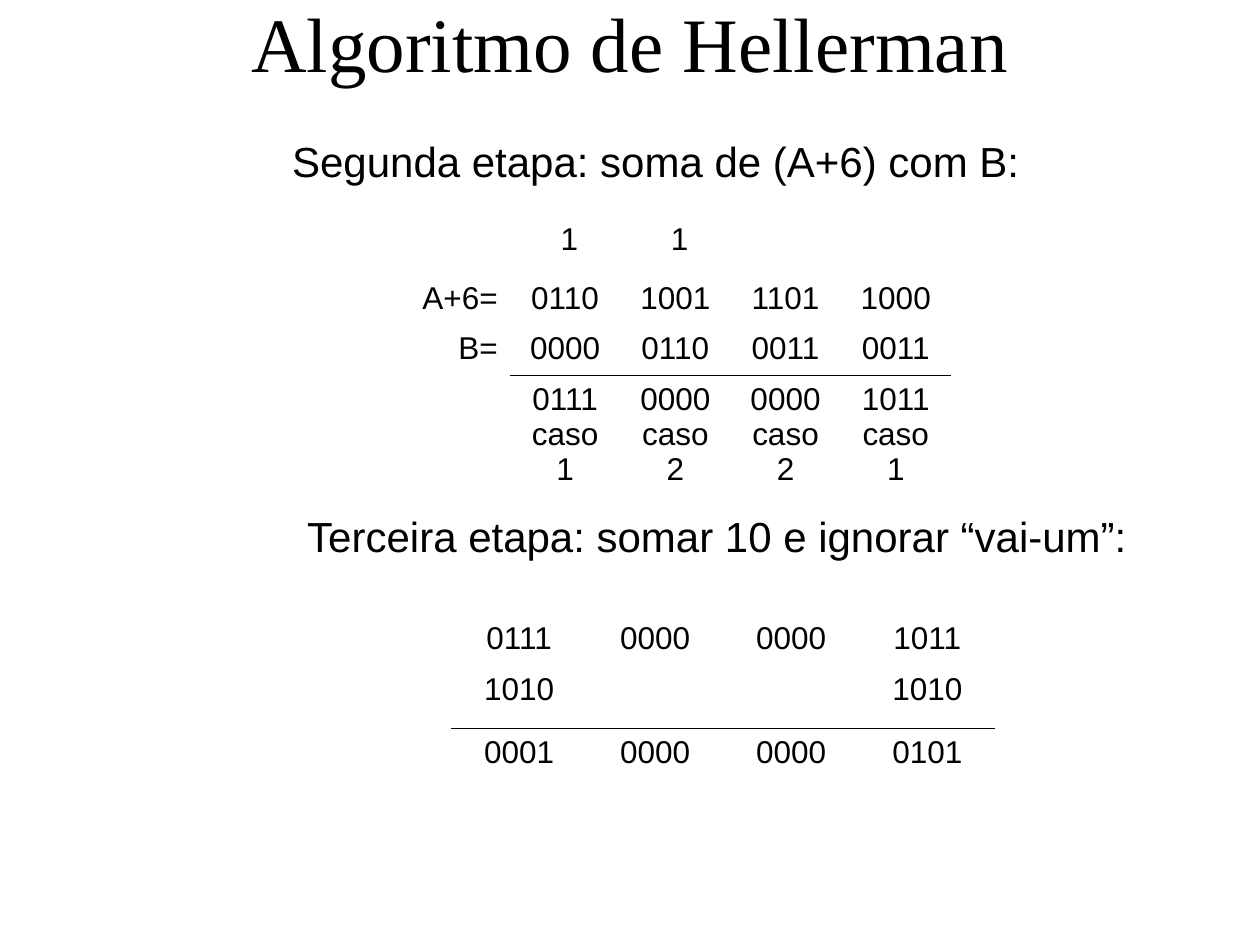
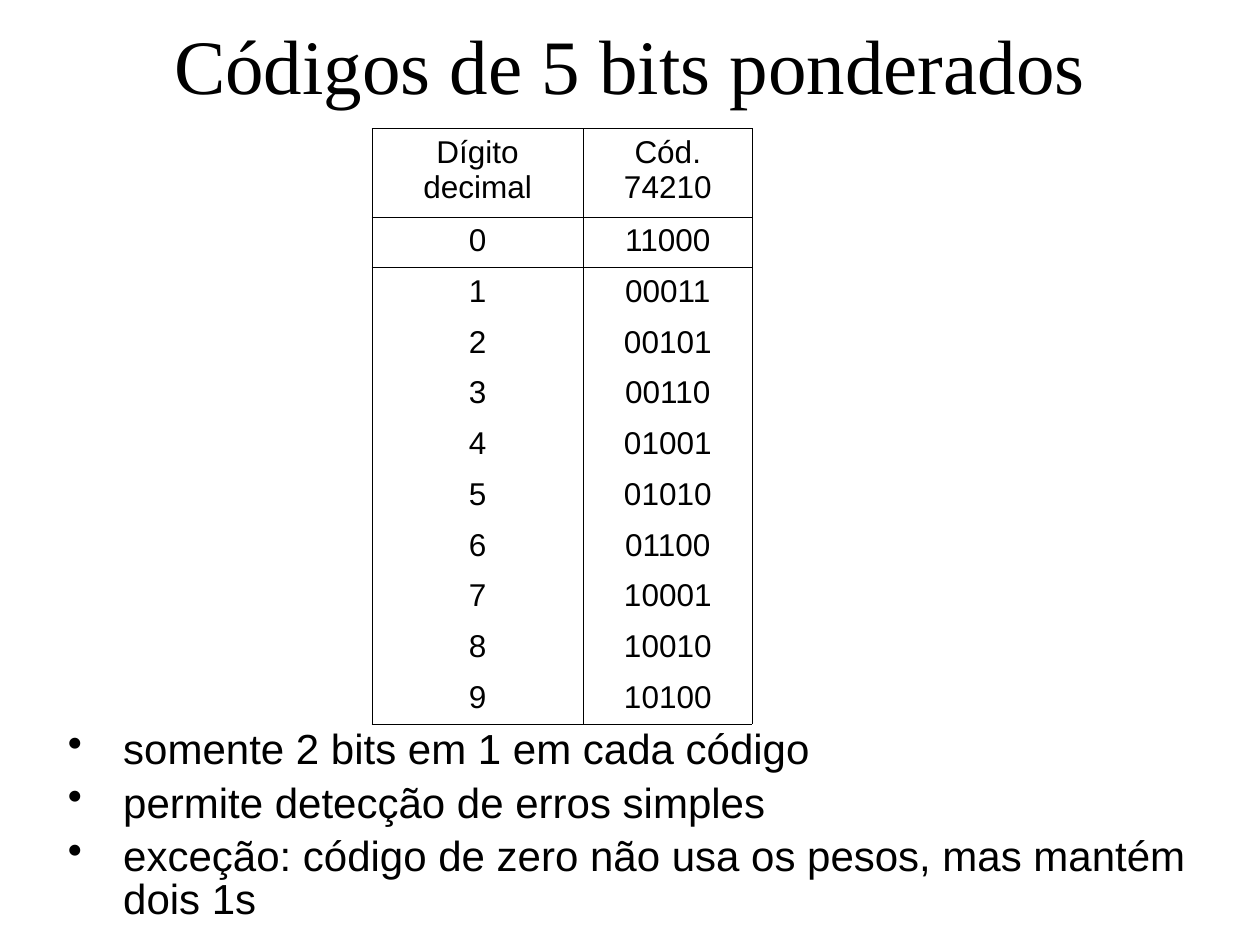
from lxml import etree
from pptx import Presentation
from pptx.dml.color import RGBColor as RGB
from pptx.enum.text import MSO_ANCHOR as ANCHOR, MSO_AUTO_SIZE as AUTO, PP_ALIGN as ALIGN
from pptx.oxml.ns import qn
from pptx.util import Inches, Pt

COLORS = {"text": "000000", "rule": "000000", "background": "FFFFFF"}
FORMATS = {
    "title": {"name": "Times New Roman", "size": Pt(44)},
    "body": {"name": "Arial", "size": Pt(24)},
    "cell": {"name": "Arial", "size": Pt(18)},
}
NO_GRID_STYLE = "{2D5ABB26-0587-4C30-8999-92F81FD0307C}"
HAIRLINE = Pt(0.06)


def style_text(tf, kind, align):
    for p in tf.paragraphs:
        p.alignment = align
        for r in p.runs:
            for name, value in FORMATS[kind].items():
                setattr(r.font, name, value)
            r.font.color.rgb = RGB.from_string(COLORS["text"])


def add_grid(s, left, top, widths, heights, rows, sides):
    """Add a plain table; sides(row, column) names the ruled sides of a cell."""
    tbl = s.shapes.add_table(len(rows), len(widths), Inches(left), Inches(top),
                             Inches(sum(widths)), Inches(sum(heights))).table
    tbl.first_row = tbl.horz_banding = False
    tbl._tbl.tblPr.find(qn("a:tableStyleId")).text = NO_GRID_STYLE
    for col, width in zip(tbl.columns, widths):
        col.width = Inches(width)
    for i, (height, row) in enumerate(zip(heights, rows)):
        tbl.rows[i].height = Inches(height)
        for j, text in enumerate(row):
            cell = tbl.cell(i, j)
            if text:
                cell.text = text
            style_text(cell.text_frame, "cell", ALIGN.RIGHT if text.endswith("=") else ALIGN.CENTER)
            tc_pr = cell._tc.get_or_add_tcPr()
            for side in "LRTB":
                if side in sides(i, j):
                    ln = etree.SubElement(tc_pr, qn(f"a:ln{side}"), w=str(HAIRLINE))
                    fill = etree.SubElement(ln, qn("a:solidFill"))
                    etree.SubElement(fill, qn("a:srgbClr"), val=COLORS["rule"])
            cell.fill.background()
    return tbl


prs = Presentation()
prs.slide_width, prs.slide_height = Inches(10), Inches(7.5)

# Slides and titles
slides = []
for title, top in [("Algoritmo de Hellerman", 0), ("Códigos de 5 bits ponderados", 0.17)]:
    s = prs.slides.add_slide(prs.slide_layouts[6])
    s.background.fill.solid()
    s.background.fill.fore_color.rgb = RGB.from_string(COLORS["background"])
    tf = s.shapes.add_textbox(Inches(0.75), Inches(top), Inches(8.5), Inches(0.67)).text_frame
    tf.word_wrap = True
    tf.vertical_anchor = ANCHOR.MIDDLE
    tf.text = title
    style_text(tf, "title", ALIGN.CENTER)
    slides.append(s)
hellerman, weighted = slides

# Hellerman: second and third steps
for text, left, top, width in [
    ("Segunda etapa: soma de (A+6) com B:", 2.22, 1.03, 5.97),
    ("Terceira etapa: somar 10 e ignorar “vai-um”:", 2.34, 4, 6.74),
]:
    tf = hellerman.shapes.add_textbox(Inches(left), Inches(top), Inches(width), Inches(0.5)).text_frame
    tf.word_wrap = False
    tf.auto_size = AUTO.SHAPE_TO_FIT_TEXT
    tf.text = text
    style_text(tf, "body", ALIGN.LEFT)

sum_rows = [
    ["", "1", "1", "", ""],
    ["A+6=", "0110", "1001", "1101", "1000"],
    ["B=", "0000", "0110", "0011", "0011"],
    ["", "0111\ncaso 1", "0000\ncaso 2", "0000\ncaso 2", "1011\ncaso 1"],
]
sum_table = add_grid(hellerman, 2.09, 1.71, [1.96, 0.87, 0.88, 0.87, 0.88], [0.47, 0.4, 0.4, 1],
                     sum_rows, lambda i, j: {2: "B", 3: "T"}.get(i, "") if j else "")
for j in (1, 2):
    sum_table.cell(0, j).margin_left = Inches(0.17)

correction_rows = [
    ["0111", "0000", "0000", "1011"],
    ["1010", "", "", "1010"],
    ["0001", "0000", "0000", "0101"],
]
add_grid(hellerman, 3.58, 4.88, [1.08] * 4, [0.4, 0.5, 0.4],
         correction_rows, lambda i, j: ["", "B", "T"][i])

# Weighted 5-bit codes
codes = ["11000", "00011", "00101", "00110", "01001", "01010", "01100", "10001", "10010", "10100"]
code_rows = [["Dígito decimal", "Cód. 74210"]] + [[str(d), code] for d, code in enumerate(codes)]
header_height, table_height = 0.7, 4.73
digit_height = (table_height - header_height) / len(codes)
add_grid(weighted, 2.95, 1.02, [1.68, 1.34], [header_height] + [digit_height] * len(codes),
         code_rows, lambda i, j: {0: "LRTB", 1: "LRT", len(codes): "LRB"}.get(i, "LR"))

tf = weighted.shapes.add_textbox(Inches(0.33), Inches(5.75), Inches(9.33), Inches(1.58)).text_frame
tf.word_wrap = True
tf.text = "\n".join([
    "somente 2 bits em 1 em cada código",
    "permite detecção de erros simples",
    "exceção: código de zero não usa os pesos, mas mantém dois 1s",
])
for i, p in enumerate(tf.paragraphs):
    p_pr = p._p.get_or_add_pPr()
    p_pr.set("marL", str(Inches(0.55)))
    p_pr.set("indent", str(-Inches(0.44)))
    etree.SubElement(p_pr, qn("a:buChar"), char="•")
    p.line_spacing = 0.85
    if i:
        p.space_before = Pt(6)
style_text(tf, "body", ALIGN.LEFT)

prs.save("out.pptx")
